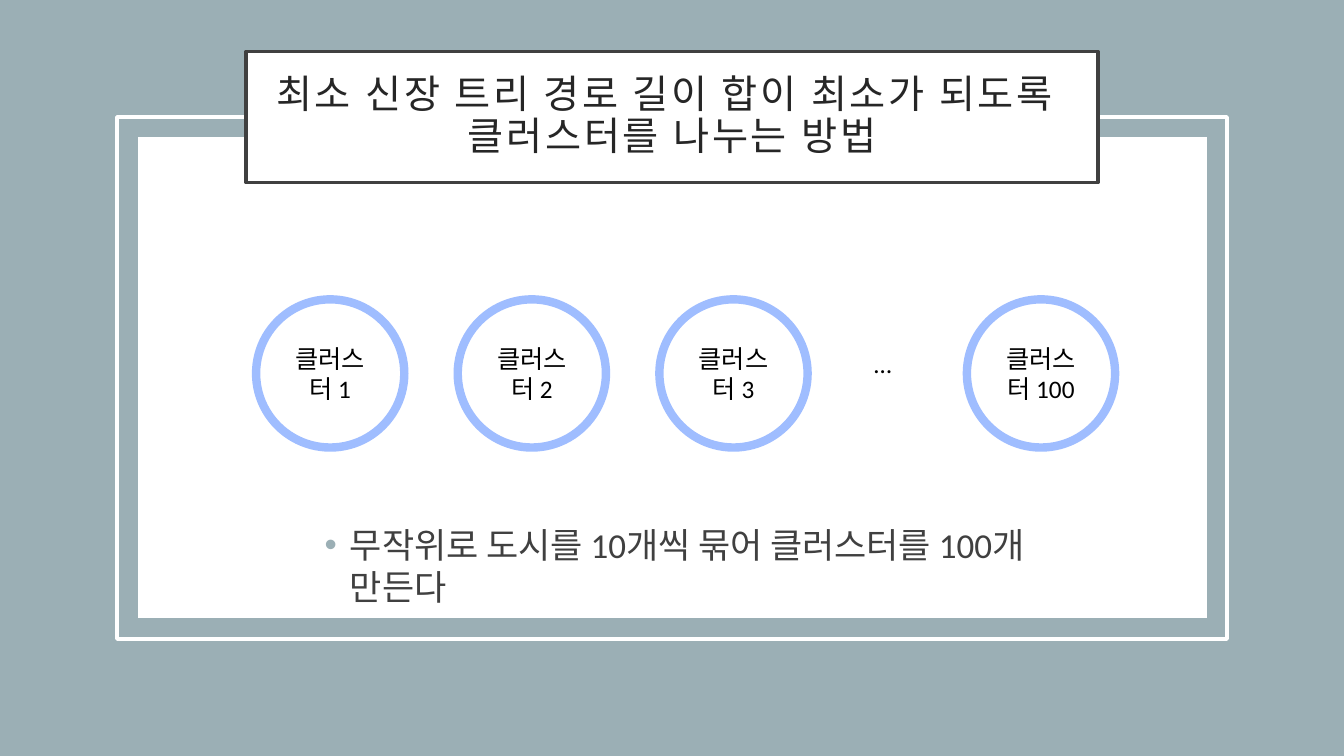
from lxml import etree
from pptx import Presentation
from pptx.dml.color import RGBColor
from pptx.enum.shapes import MSO_SHAPE
from pptx.enum.text import MSO_ANCHOR, MSO_AUTO_SIZE, PP_ALIGN
from pptx.oxml.ns import qn
from pptx.util import Inches, Pt

RECTANGLE, OVAL = MSO_SHAPE.RECTANGLE, MSO_SHAPE.OVAL
MIDDLE, TOP = MSO_ANCHOR.MIDDLE, MSO_ANCHOR.TOP
CENTER, LEFT = PP_ALIGN.CENTER, PP_ALIGN.LEFT
FIXED, GROW = MSO_AUTO_SIZE.NONE, MSO_AUTO_SIZE.SHAPE_TO_FIT_TEXT

FONT = "Calibri"
COLORS = {
    "backdrop": "9BAFB5",
    "panel": "FFFFFF",
    "title_border": "404040",
    "title": "262626",
    "ring": "9FBDFF",
    "label": "000000",
    "body": "404040",
}
SLIDE_WIDTH, SLIDE_HEIGHT = 13.33, 7.5
RING_TOP, RING_SIZE = 2.97, 1.47
RING_LEFT, RING_STEP = 2.54, 2.0
LAST_RING_LEFT = 9.59


def color(name):
    return RGBColor.from_string(COLORS[name])


def place(shape, left, top, width, height):
    shape.left, shape.top = Inches(left), Inches(top)
    shape.width, shape.height = Inches(width), Inches(height)


def paint(shape, fill=None, line=None, line_width=2.5):
    if fill:
        shape.fill.solid()
        shape.fill.fore_color.rgb = color(fill)
    else:
        shape.fill.background()
    if line:
        shape.line.color.rgb = color(line)
        shape.line.width = Pt(line_width)
    else:
        shape.line.fill.background()


def write(shape, text, size, color_name, align):
    shape.text_frame.text = text
    paragraph = shape.text_frame.paragraphs[0]
    paragraph.alignment = align
    paragraph.font.name = FONT
    paragraph.font.size = Pt(size)
    paragraph.font.color.rgb = color(color_name)
    return paragraph


def add_box(slide, kind, box, **paint_options):
    shape = slide.shapes.add_shape(kind, *map(Inches, box))
    shape.shadow.inherit = False
    paint(shape, **paint_options)
    return shape


def add_cluster(slide, left, number):
    ring = add_box(slide, OVAL, (left, RING_TOP, RING_SIZE, RING_SIZE),
                   line="ring", line_width=6)
    ring.text_frame.vertical_anchor = MIDDLE
    write(ring, f"클러스터 {number}", 18, "label", CENTER)


def add_ellipsis(slide):
    ellipsis = slide.shapes.add_textbox(*map(Inches, (8.57, 3.41, 0.45, 0.4)))
    ellipsis.text_frame.word_wrap = False
    ellipsis.text_frame.auto_size = GROW
    write(ellipsis, "…", 18, "label", LEFT)


def format_title(title):
    place(title, 2.44, 0.51, 8.45, 1.3)
    paint(title, fill="panel", line="title_border")
    frame = title.text_frame
    frame.auto_size = FIXED
    frame.vertical_anchor = MIDDLE
    frame.margin_left = frame.margin_right = Inches(0.2)
    frame.margin_top = frame.margin_bottom = Inches(0.2)
    paragraph = write(
        title, "최소 신장 트리 경로 길이 합이 최소가 되도록 \v클러스터를 나누는 방법",
        28, "title", CENTER)
    paragraph.line_spacing = 0.9
    for run in paragraph.runs:
        run.font._element.set("spc", "200")


def add_bullet(paragraph, indent, color_name):
    properties = paragraph._p.get_or_add_pPr()
    properties.set("marL", str(Inches(indent)))
    properties.set("indent", str(-Inches(indent)))
    bullet_color = etree.SubElement(properties, qn("a:buClr"))
    etree.SubElement(bullet_color, qn("a:srgbClr"), val=COLORS[color_name])
    etree.SubElement(properties, qn("a:buFont"), typeface="Arial")
    etree.SubElement(properties, qn("a:buChar"), char="•")
    # The schema wants default run properties after the bullet
    properties.append(properties.find(qn("a:defRPr")))


def format_body(body):
    place(body, 3.12, 5.14, 7.29, 0.94)
    body.text_frame.auto_size = FIXED
    body.text_frame.vertical_anchor = TOP
    paragraph = write(body, "무작위로 도시를 10개씩 묶어 클러스터를 100개 만든다",
                      25, "body", LEFT)
    paragraph.space_before = Pt(10)
    add_bullet(paragraph, 0.25, "backdrop")


def main():
    presentation = Presentation()
    presentation.slide_width = Inches(SLIDE_WIDTH)
    presentation.slide_height = Inches(SLIDE_HEIGHT)
    slide = presentation.slides.add_slide(presentation.slide_layouts[1])
    title, body = slide.placeholders

    # Backdrop, white panel and its outline
    add_box(slide, RECTANGLE, (0, 0, SLIDE_WIDTH, SLIDE_HEIGHT), fill="backdrop")
    add_box(slide, RECTANGLE, (1.37, 1.36, 10.6, 4.77), fill="panel")
    add_box(slide, RECTANGLE, (1.16, 1.16, 11.01, 5.18), line="panel")

    # Title and body, brought in front of the panel
    format_title(title)
    format_body(body)
    for placeholder in (title, body):
        slide.shapes._spTree.append(placeholder.element)

    # Row of clusters
    for index in range(3):
        add_cluster(slide, RING_LEFT + index * RING_STEP, index + 1)
    add_ellipsis(slide)
    add_cluster(slide, LAST_RING_LEFT, 100)

    presentation.save("out.pptx")


main()
